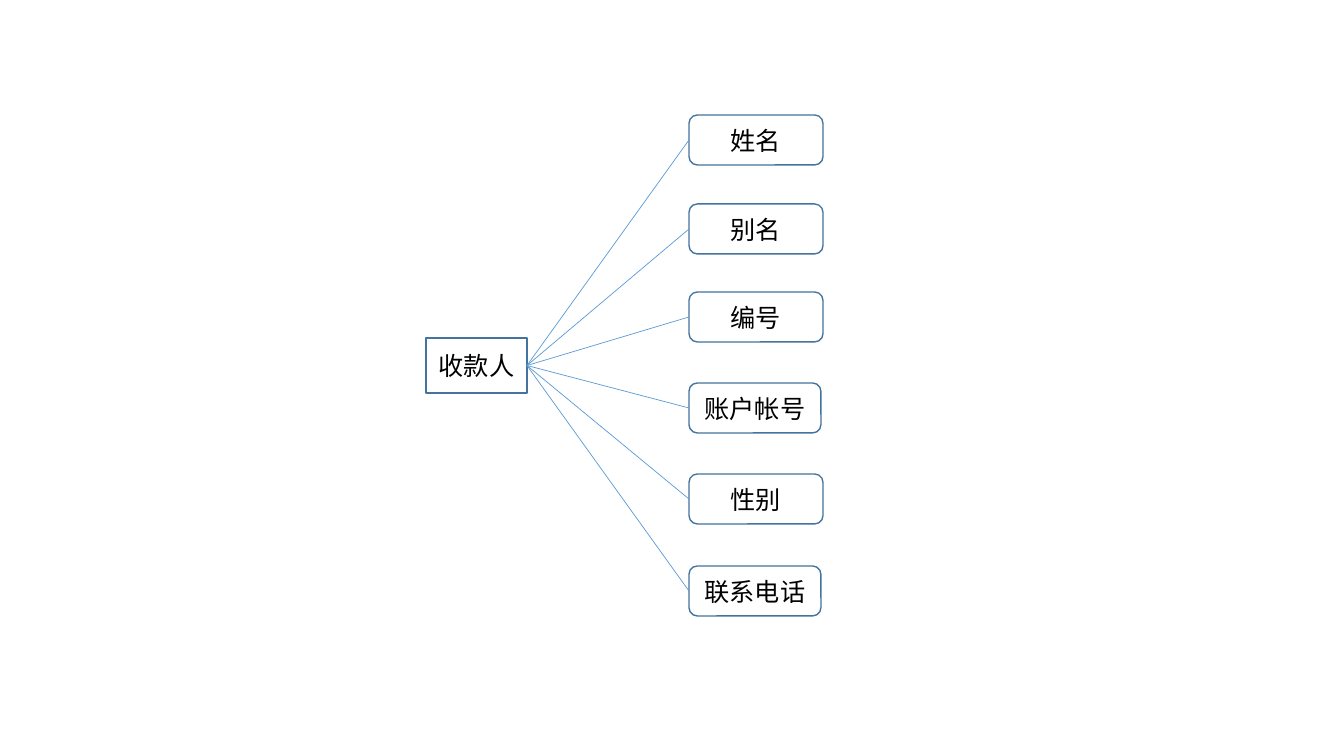
from pptx import Presentation
from pptx import util as u
from pptx.dml import color
from pptx.enum import shapes, text
from pptx.oxml import ns
from lxml import etree

EMU_PER_PX = 914400 / 100.8
FONT = "Noto Sans CJK SC"
COLORS = {"border": "43739E", "link": "5B9BD5", "label": "000000"}
LEFT_SITE, RIGHT_SITE = 1, 3

ENTITY = "收款人"
# label, top within the diagram, width
ATTRIBUTES = [
    ("姓名", 0, 134),
    ("别名", 89, 134),
    ("编号", 177, 134),
    ("账户帐号", 268, 132),
    ("性别", 359, 134),
    ("联系电话", 451, 132),
]


def px(value):
    return u.Emu(round(value * EMU_PER_PX))


def rgb(key):
    return color.RGBColor.from_string(COLORS[key])


def add_node(slide, preset, label, left, top, width, height):
    node = slide.shapes.add_shape(preset, px(left), px(top), px(width), px(height))
    node.shadow.inherit = False
    node.fill.background()
    node.line.color.rgb = rgb("border")
    node.line.width = u.Pt(1)
    frame = node.text_frame
    frame.word_wrap = True
    frame.vertical_anchor = text.MSO_ANCHOR.MIDDLE
    paragraph = frame.paragraphs[0]
    paragraph.alignment = text.PP_ALIGN.CENTER
    run = paragraph.add_run()
    run.text = label
    run.font.size = u.Pt(18)
    run.font.color.rgb = rgb("label")
    run.font.name = FONT
    # Chinese glyphs take the East Asian typeface
    etree.SubElement(run.font._element, ns.qn("a:ea"), typeface=FONT)
    return node


def add_link(slide, entity, attribute):
    link = slide.shapes.add_connector(shapes.MSO_CONNECTOR.STRAIGHT, 0, 0, 0, 0)
    link.begin_connect(entity, RIGHT_SITE)
    link.end_connect(attribute, LEFT_SITE)
    link.line.color.rgb = rgb("link")
    link.line.width = u.Pt(0.5)
    etree.SubElement(link._element.spPr, ns.qn("a:effectLst"))


def entity_diagram(slide, left, top, width, height):
    # Entity, slightly above the middle of its attributes
    entity_height = 55
    entity_top = top + (height - entity_height) // 2
    entity = add_node(slide, shapes.MSO_SHAPE.RECTANGLE, ENTITY,
                      left, entity_top, 101, entity_height)

    # Attributes, in a column at the right
    column_left = left + width - 135
    attributes = [
        add_node(slide, shapes.MSO_SHAPE.ROUNDED_RECTANGLE, label,
                 column_left, top + offset, node_width, 50)
        for label, offset, node_width in ATTRIBUTES
    ]

    # Links from the entity to each attribute
    for attribute in attributes:
        add_link(slide, entity, attribute)


deck = Presentation()
deck.slide_width, deck.slide_height = px(1344), px(756)
payee_slide = deck.slides.add_slide(deck.slide_layouts[6])
entity_diagram(payee_slide, 426, 115, 398, 501)
deck.save("out.pptx")
